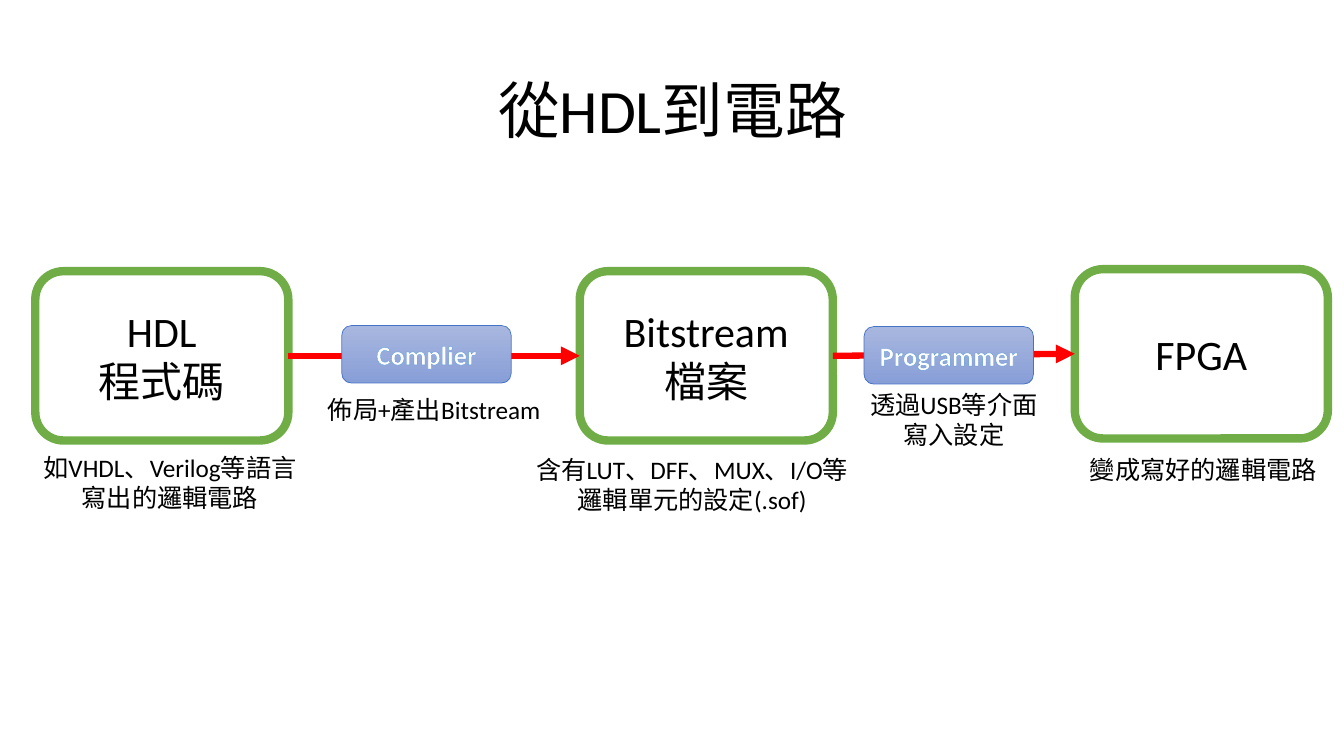
from pptx import Presentation
from pptx import util as u
from pptx.dml.color import RGBColor
from pptx.enum import shapes, text
from pptx.oxml import parse_xml
from pptx.oxml.ns import nsdecls

# Content: positions in inches
TITLE = "從HDL到電路"
STAGES = [  # left, top, text
    (0.35, 2.69, "HDL\n程式碼"),
    (5.75, 2.69, "Bitstream\n檔案"),
    (10.66, 2.67, "FPGA"),
]
TOOLS = [
    (3.39, 3.23, "Complier"),
    (8.57, 3.24, "Programmer"),
]
NOTES = [  # left, top, width, text
    (-0.02, 4.44, 3.41, "如VHDL、Verilog等語言\n寫出的邏輯電路"),
    (2.6, 3.86, 3.41, "佈局+產出Bitstream"),
    (5.16, 4.46, 3.41, "含有LUT、DFF、MUX、I/O等\n邏輯單元的設定(.sof)"),
    (8.52, 3.81, 1.88, "透過USB等介面\n寫入設定"),
    (10.7, 4.46, 2.47, "變成寫好的邏輯電路"),
]
STAGE = (2.51, 1.68)
TOOL = (1.68, 0.57)
THEME = {
    "font": "Calibri", "ink": "000000", "paper": "FFFFFF",
    "stage": "70AD47", "arrow": "FF0000", "edge": "4472C4",
    "fade": ("A8B7DF", "889ED7"), "glow": "5B9BD5",
    "title": 44, "big": 30, "tool": 19, "note": 18,
}


def color(name):
    return RGBColor.from_string(THEME.get(name, name))


def write(shape, words, size, ink="ink", bold=False):
    frame = shape.text_frame
    frame.text = words
    frame.word_wrap = True
    for para in frame.paragraphs:
        para.alignment = text.PP_ALIGN.CENTER
        for run in para.runs:
            run.font.name = THEME["font"]
            run.font.size = u.Pt(THEME[size])
            run.font.bold = bold
            run.font.color.rgb = color(ink)
    return frame


def add_box(left, top, size, edge, width):
    box = slide.shapes.add_shape(
        shapes.MSO_SHAPE.ROUNDED_RECTANGLE,
        *(u.Inches(n) for n in (left, top, *size)))
    box.shadow.inherit = False
    box.line.color.rgb = color(edge)
    box.line.width = u.Pt(width)
    return box


deck = Presentation()
deck.slide_width, deck.slide_height = u.Inches(13.33), u.Inches(7.5)
slide = deck.slides.add_slide(deck.slide_layouts[5])

# Title
title = slide.shapes.title
title.left, title.top = u.Inches(0.92), u.Inches(0.4)
title.width, title.height = u.Inches(11.5), u.Inches(1.45)
frame = write(title, TITLE, "title")
frame.vertical_anchor = text.MSO_ANCHOR.MIDDLE
frame.paragraphs[0].line_spacing = 0.9

# Stages
boxes = []
for left, top, words in STAGES:
    box = add_box(left, top, STAGE, "stage", 6)
    box.fill.solid()
    box.fill.fore_color.rgb = color("paper")
    write(box, words, "big")
    boxes.append(box)

# Arrows from the right side of one stage to the left side of the next
for start, end in zip(boxes, boxes[1:]):
    arrow = slide.shapes.add_connector(shapes.MSO_CONNECTOR.STRAIGHT, 0, 0, 0, 0)
    arrow.begin_connect(start, 3)
    arrow.end_connect(end, 1)
    arrow.line.color.rgb = color("arrow")
    arrow.line.width = u.Pt(4.5)
    arrow.line._get_or_add_ln().append(
        parse_xml(f'<a:tailEnd {nsdecls("a")} type="triangle"/>'))
    arrow._element.spPr.append(parse_xml(f'<a:effectLst {nsdecls("a")}/>'))

# Tools on the arrows
for left, top, words in TOOLS:
    box = add_box(left, top, TOOL, "edge", 0.5)
    box.fill.gradient()
    box.fill.gradient_angle = 270
    for stop, shade in zip(box.fill.gradient_stops, THEME["fade"]):
        stop.color.rgb = color(shade)
    frame = write(box, words, "tool", "paper", True)
    frame.margin_left = frame.margin_right = 0
    # Letter outline
    frame.paragraphs[0].runs[0].font._element.insert(0, parse_xml(
        f'<a:ln {nsdecls("a")} w="{u.Pt(0.8)}"><a:solidFill>'
        f'<a:srgbClr val="{THEME["glow"]}"/></a:solidFill></a:ln>'))

# Notes
for left, top, width, words in NOTES:
    high = 0.71 if "\n" in words else 0.4
    note = slide.shapes.add_textbox(
        *(u.Inches(n) for n in (left, top, width, high)))
    frame = write(note, words, "note")
    frame.auto_size = text.MSO_AUTO_SIZE.SHAPE_TO_FIT_TEXT

deck.save("out.pptx")
